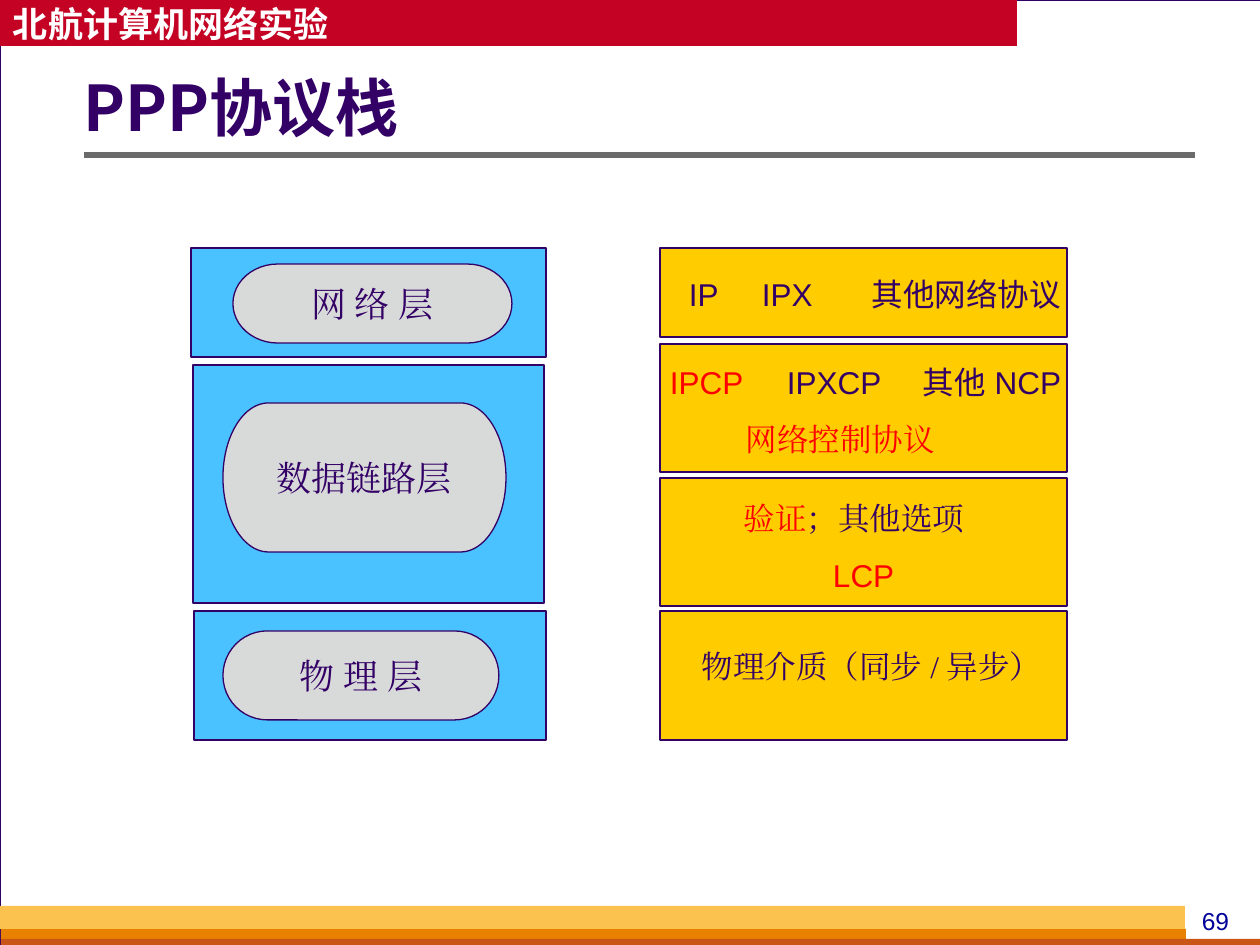
from lxml.etree import SubElement
from pptx import Presentation
from pptx.dml.color import RGBColor
from pptx.enum.shapes import MSO_CONNECTOR, MSO_SHAPE
from pptx.enum.text import MSO_ANCHOR, PP_ALIGN
from pptx.oxml.ns import qn
from pptx.util import Pt

EMU_PER_PX = 914400 / 126
PURPLE, RED, WHITE = "330066", "FF0000", "FFFFFF"
BLUE, YELLOW, GREY = "49C2FF", "FFCC00", "D8DADA"
HEADING_FONT, LATIN, SERIF = "Noto Sans CJK SC", "Arial", "Times New Roman"


def px(length):
    return round(length * EMU_PER_PX)


def color(hex_string):
    return RGBColor.from_string(hex_string)


def add_box(slide, box, fill, line=None, preset=MSO_SHAPE.RECTANGLE):
    shape = slide.shapes.add_shape(preset, *map(px, box))
    shape.shadow.inherit = False
    shape.fill.solid()
    shape.fill.fore_color.rgb = color(fill)
    if line:
        shape.line.color.rgb = color(line)
        shape.line.width = Pt(0.75)
    else:
        shape.line.fill.background()
    return shape


def set_frame(shape, anchor=MSO_ANCHOR.TOP, left=13, top=6, wrap=True):
    frame = shape.text_frame
    frame.word_wrap = wrap
    frame.vertical_anchor = anchor
    frame.margin_left, frame.margin_right = px(left), px(13)
    frame.margin_top, frame.margin_bottom = px(top), px(6)
    return frame


def add_run(paragraph, text, size, font, text_color=PURPLE, bold=False):
    run = paragraph.add_run()
    run.text = text
    run.font.size = Pt(size)
    run.font.name = font
    run.font.bold = bold
    run.font.color.rgb = color(text_color)
    SubElement(run.font._element, qn("a:ea"), typeface=font)


def add_tab_stops(paragraph, stops):
    tab_list = SubElement(paragraph._p.get_or_add_pPr(), qn("a:tabLst"))
    for stop in stops:
        SubElement(tab_list, qn("a:tab"), pos=str(px(stop)), algn="l")


def add_header(slide, box):
    shape = add_box(slide, box, "C30224")
    paragraph = set_frame(shape, MSO_ANCHOR.MIDDLE).paragraphs[0]
    paragraph.alignment = PP_ALIGN.LEFT
    add_run(paragraph, "北航计算机网络实验", 20, HEADING_FONT, WHITE, True)


def add_title(slide, box):
    left, top, width, height = box
    shape = slide.shapes.add_textbox(*map(px, box))
    paragraph = set_frame(shape, MSO_ANCHOR.MIDDLE, left=0).paragraphs[0]
    paragraph.line_spacing = 0.9
    add_run(paragraph, "PPP协议栈", 36, HEADING_FONT, PURPLE, True)
    rule_y = px(top + height - 10)
    rule = slide.shapes.add_connector(
        MSO_CONNECTOR.STRAIGHT, px(left), rule_y, px(left + width), rule_y)
    rule.line.color.rgb = color("6B6B6B")
    rule.line.width = Pt(3)
    SubElement(rule._element.spPr, qn("a:effectLst"))


def add_footer(slide, box):
    left, top, width, height = box
    add_box(slide, (left + 1, top + 23, width - 75, 10), "E88000")
    add_box(slide, (left + 1, top + 33, width, 10), "C95616")
    add_box(slide, (left, top, width - 75, 23), "FCC24F")
    number = slide.shapes.add_textbox(*map(px, (left + 1176, top - 6, 79, height)))
    paragraph = set_frame(number).paragraphs[0]
    paragraph.alignment = PP_ALIGN.CENTER
    add_run(paragraph, "69", 14, LATIN, "000099")


def add_layer(slide, box, pill, label):
    left, top, width, height = box
    add_box(slide, box, BLUE, PURPLE)
    pill_left, pill_top, pill_width, pill_height = pill
    shape = add_box(slide, (left + pill_left, top + pill_top, pill_width, pill_height),
                    GREY, PURPLE, MSO_SHAPE.FLOWCHART_TERMINATOR)
    paragraph = set_frame(shape, MSO_ANCHOR.MIDDLE, wrap=False).paragraphs[0]
    paragraph.alignment = PP_ALIGN.CENTER
    add_run(paragraph, label, 20, SERIF)


def add_protocol_row(slide, box, text_box, inset, lines):
    left, top, width, height = box
    add_box(slide, box, YELLOW, PURPLE)
    text_left, text_top, text_width, text_height = text_box
    shape = slide.shapes.add_textbox(
        px(left + text_left), px(top + text_top), px(text_width), px(text_height))
    frame = set_frame(shape, top=inset)
    for index, (stops, runs) in enumerate(lines):
        paragraph = frame.add_paragraph() if index else frame.paragraphs[0]
        if stops:
            add_tab_stops(paragraph, stops)
        if index:
            paragraph.space_before = Pt(11.2)
        for text, font, text_color in runs:
            add_run(paragraph, text, 18, font, text_color)


def main():
    presentation = Presentation()
    presentation.slide_width, presentation.slide_height = px(1260), px(945)
    slide = presentation.slides.add_slide(presentation.slide_layouts[6])
    slide.background.fill.solid()
    slide.background.fill.fore_color.rgb = color(GREY)
    add_box(slide, (0, 0, 1261, 945), WHITE, PURPLE)
    add_header(slide, (0, 0, 1017, 46))
    add_footer(slide, (0, 906, 1260, 43))
    add_title(slide, (84, 58, 1111, 107))

    layers = [
        ((191, 248, 355, 109), (42, 16, 279, 79), "网 络 层"),
        ((193, 365, 351, 238), (30, 38, 283, 149), "数据链路层"),
        ((194, 611, 352, 129), (29, 20, 276, 89), "物 理 层"),
    ]
    for box, pill, label in layers:
        add_layer(slide, box, pill, label)

    rows = [
        (248, 89, (1, -4, 427, 81), 31, [
            ((15, 88, 198), [("\tIP\tIPX\t其他网络协议", LATIN, PURPLE)]),
        ]),
        (344, 128, (-17, -13, 456, 137), 32, [
            ((14, 131, 267), [("\tIPCP", LATIN, RED),
                              ("\tIPXCP\t其他 NCP", LATIN, PURPLE)]),
            ((90,), [("\t网络控制协议", SERIF, RED)]),
        ]),
        (478, 128, (29, 15, 437, 108), 6, [
            ((42,), [("\t验证", SERIF, RED), ("；其他选项", SERIF, PURPLE)]),
            ((131,), [("\tLCP", LATIN, RED)]),
        ]),
        (611, 129, (29, 30, 437, 50), 6, [
            ((), [("物理介质（同步 / 异步）", SERIF, PURPLE)]),
        ]),
    ]
    for top, height, text_box, inset, lines in rows:
        add_protocol_row(slide, (660, top, 407, height), text_box, inset, lines)

    presentation.save("out.pptx")


if __name__ == "__main__":
    main()
